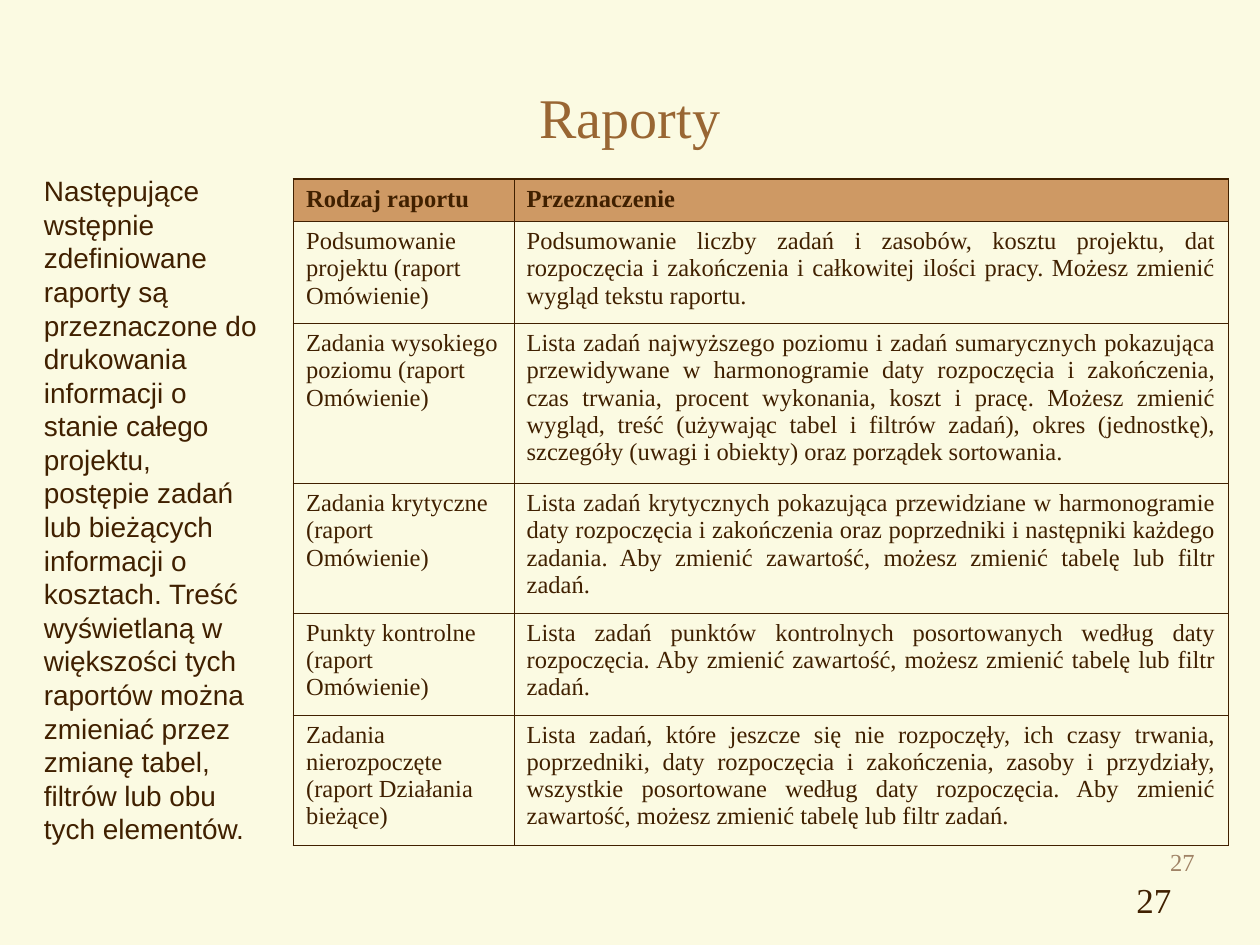
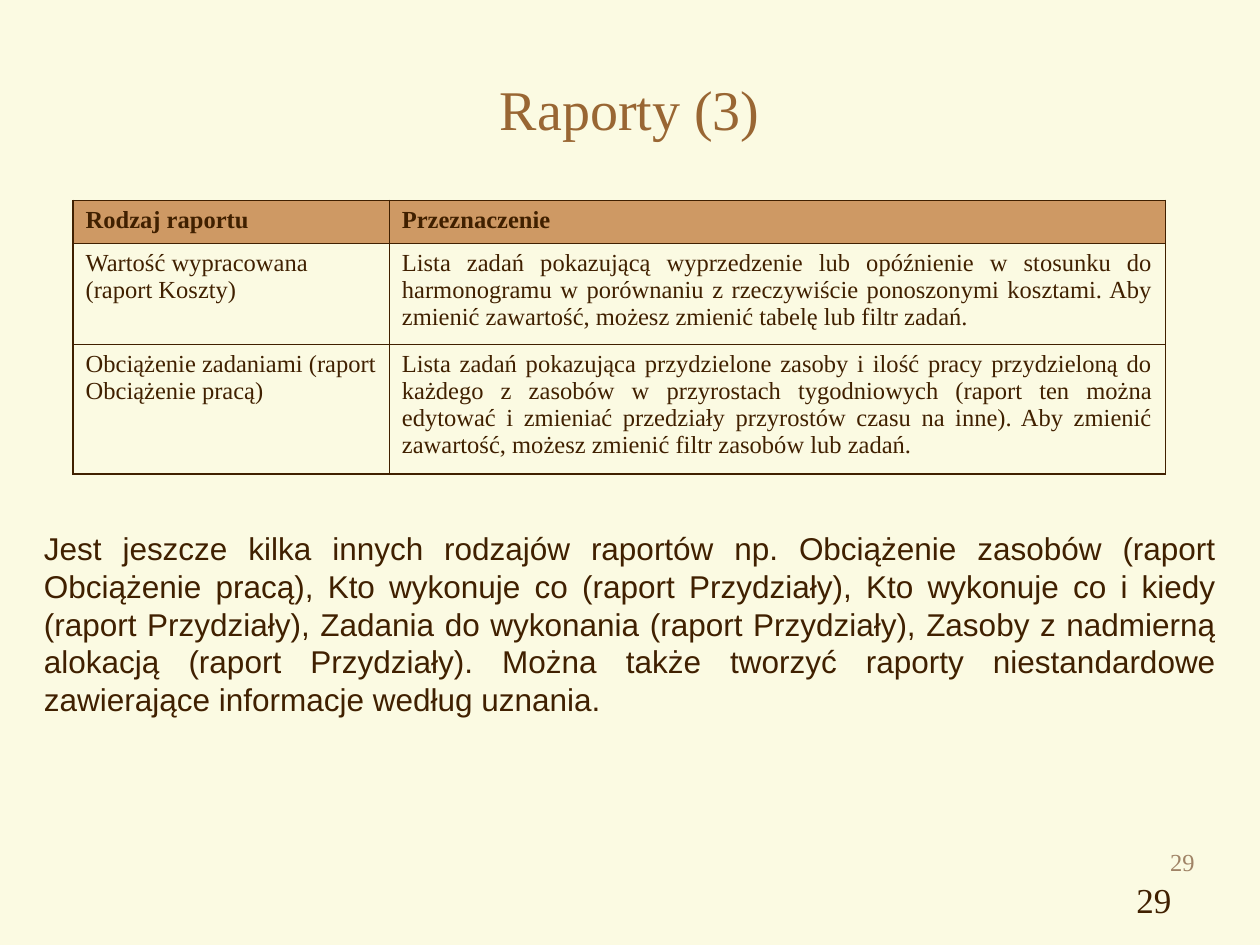
from dataclasses import dataclass
from lxml import etree
from pptx import Presentation
from pptx.dml.color import RGBColor
from pptx.enum.text import MSO_ANCHOR, PP_ALIGN
from pptx.oxml.ns import qn
from pptx.util import Inches, Pt

LEFT, CENTER, RIGHT, JUSTIFY = PP_ALIGN.LEFT, PP_ALIGN.CENTER, PP_ALIGN.RIGHT, PP_ALIGN.JUSTIFY
TOP, MIDDLE = MSO_ANCHOR.TOP, MSO_ANCHOR.MIDDLE
TITLE_ONLY = 5


@dataclass(frozen=True)
class Theme:
    background: str = "FBFAE2"
    text: str = "402000"
    title: str = "996633"
    header: str = "CE9964"
    footer: str = "A08366"
    serif: str = "Times New Roman"
    sans: str = "Arial"
    title_size: float = 32
    number_size: float = 20
    table_size: float = 14
    outer_line: float = 1.08
    inner_line: float = 0.45


THEME = Theme()
TABLE_HEADER = ("Rodzaj raportu", "Przeznaczenie")

SLIDES = [
    {
        "number": "27",
        "title": "Raporty",
        "title_top": 0.3,
        "table_at": (2.33, 1.42),
        "columns": (1.75, 5.67),
        "row_heights": (0.34, 0.81, 1.27, 1.03, 0.81, 1.03),
        "reports": [
            ("Podsumowanie projektu (raport Omówienie)",
             "Podsumowanie liczby zadań i zasobów, kosztu projektu, dat rozpoczęcia i zakończenia "
             "i całkowitej ilości pracy. Możesz zmienić wygląd tekstu raportu."),
            ("Zadania wysokiego poziomu (raport Omówienie)",
             "Lista zadań najwyższego poziomu i zadań sumarycznych pokazująca przewidywane "
             "w harmonogramie daty rozpoczęcia i zakończenia, czas trwania, procent wykonania, "
             "koszt i pracę. Możesz zmienić wygląd, treść (używając tabel i filtrów zadań), okres "
             "(jednostkę), szczegóły (uwagi i obiekty) oraz porządek sortowania."),
            ("Zadania krytyczne (raport Omówienie)",
             "Lista zadań krytycznych pokazująca przewidziane w harmonogramie daty rozpoczęcia "
             "i zakończenia oraz poprzedniki i następniki każdego zadania. Aby zmienić zawartość, "
             "możesz zmienić tabelę lub filtr zadań."),
            ("Punkty kontrolne (raport Omówienie)",
             "Lista zadań punktów kontrolnych posortowanych według daty rozpoczęcia. Aby zmienić "
             "zawartość, możesz zmienić tabelę lub filtr zadań."),
            ("Zadania nierozpoczęte (raport Działania bieżące)",
             "Lista zadań, które jeszcze się nie rozpoczęły, ich czasy trwania, poprzedniki, daty "
             "rozpoczęcia i zakończenia, zasoby i przydziały, wszystkie posortowane według daty "
             "rozpoczęcia. Aby zmienić zawartość, możesz zmienić tabelę lub filtr zadań."),
        ],
        "note": "Następujące wstępnie zdefiniowane raporty są przeznaczone do drukowania informacji "
                "o stanie całego projektu, postępie zadań lub bieżących informacji o kosztach. Treść "
                "wyświetlaną w większości tych raportów można zmieniać przez zmianę tabel, filtrów "
                "lub obu tych elementów.",
        "note_box": (0.25, 1.33, 1.92, 5.43),
        "note_size": 16,
        "note_alignment": LEFT,
    },
    {
        "number": "29",
        "title": "Raporty (3)",
        "title_top": 0.23,
        "table_at": (0.58, 1.59),
        "columns": (2.51, 6.16),
        "row_heights": (0.34, 0.8, 1.03),
        "reports": [
            ("Wartość wypracowana (raport Koszty)",
             "Lista zadań pokazującą wyprzedzenie lub opóźnienie w stosunku do harmonogramu "
             "w porównaniu z rzeczywiście ponoszonymi kosztami. Aby zmienić zawartość, możesz "
             "zmienić tabelę lub filtr zadań."),
            ("Obciążenie zadaniami (raport Obciążenie pracą)",
             "Lista zadań pokazująca przydzielone zasoby i ilość pracy przydzieloną do każdego "
             "z zasobów w przyrostach tygodniowych (raport ten można edytować i zmieniać "
             "przedziały przyrostów czasu na inne). Aby zmienić zawartość, możesz zmienić filtr "
             "zasobów lub zadań."),
        ],
        "note": "Jest jeszcze kilka innych rodzajów raportów np. Obciążenie zasobów (raport Obciążenie "
                "pracą), Kto wykonuje co (raport Przydziały), Kto wykonuje co i kiedy (raport "
                "Przydziały), Zadania do wykonania (raport Przydziały), Zasoby z nadmierną alokacją "
                "(raport Przydziały). Można także tworzyć raporty niestandardowe zawierające "
                "informacje według uznania.",
        "note_box": (0.25, 4.15, 9.5, 1.6),
        "note_size": 18,
        "note_alignment": JUSTIFY,
    },
]


def write(text_frame, text, size, color=THEME.text, font=THEME.serif, alignment=LEFT, bold=False):
    text_frame.text = text
    text_frame.word_wrap = True
    paragraph = text_frame.paragraphs[0]
    paragraph.alignment = alignment
    paragraph.space_before = Pt(0)
    for run in paragraph.runs:
        run.font.size = Pt(size)
        run.font.name = font
        run.font.bold = bold
        run.font.color.rgb = RGBColor.from_string(color)


def add_text(slide, box, text, size, **style):
    shape = slide.shapes.add_textbox(*map(Inches, box))
    write(shape.text_frame, text, size, **style)


def set_title(slide, text, top):
    title = slide.shapes.title
    title.left, title.top, title.width, title.height = map(Inches, (0.5, top, 9, 1.25))
    write(title.text_frame, text, THEME.title_size, color=THEME.title, alignment=CENTER)
    title.text_frame.vertical_anchor = MIDDLE


def set_borders(cell, outer_sides):
    properties = cell._tc.get_or_add_tcPr()
    for position, side in enumerate(("L", "R", "T", "B")):
        width = THEME.outer_line if side in outer_sides else THEME.inner_line
        line = etree.Element(qn(f"a:ln{side}"), w=str(Pt(width)))
        fill = etree.SubElement(line, qn("a:solidFill"))
        etree.SubElement(fill, qn("a:srgbClr"), val=THEME.text)
        properties.insert(position, line)


def add_report_table(slide, position, columns, row_heights, reports):
    rows = [TABLE_HEADER, *reports]
    size = (sum(columns), sum(row_heights))
    frame = slide.shapes.add_table(len(rows), len(columns), *map(Inches, position + size))
    table = frame.table
    for column, width in zip(table.columns, columns):
        column.width = Inches(width)
    for row, height in zip(table.rows, row_heights):
        row.height = Inches(height)
    for row_index, texts in enumerate(rows):
        is_header = row_index == 0
        for column_index, text in enumerate(texts):
            cell = table.cell(row_index, column_index)
            write(cell.text_frame, text, THEME.table_size, bold=is_header,
                  alignment=JUSTIFY if column_index else LEFT)
            cell.vertical_anchor = TOP
            cell.margin_left = cell.margin_right = Inches(0.1)
            cell.margin_top = cell.margin_bottom = Inches(0.05)
            if is_header:
                cell.fill.solid()
                cell.fill.fore_color.rgb = RGBColor.from_string(THEME.header)
            else:
                cell.fill.background()
            outer_sides = {"R" if column_index else "L"}
            if is_header:
                outer_sides.add("T")
            if row_index == len(rows) - 1:
                outer_sides.add("B")
            set_borders(cell, outer_sides)


def add_page_numbers(slide, number):
    add_text(slide, (8.92, 6.92, 0.67, 0.44), number, THEME.number_size)
    add_text(slide, (7.5, 6.67, 2.08, 0.5), number, THEME.table_size,
             color=THEME.footer, alignment=RIGHT)


def build_slide(presentation, content):
    slide = presentation.slides.add_slide(presentation.slide_layouts[TITLE_ONLY])
    slide.background.fill.solid()
    slide.background.fill.fore_color.rgb = RGBColor.from_string(THEME.background)
    set_title(slide, content["title"], content["title_top"])
    add_report_table(slide, content["table_at"], content["columns"],
                     content["row_heights"], content["reports"])
    add_text(slide, content["note_box"], content["note"], content["note_size"],
             font=THEME.sans, alignment=content["note_alignment"])
    add_page_numbers(slide, content["number"])


def main():
    presentation = Presentation()
    presentation.slide_width, presentation.slide_height = Inches(10), Inches(7.5)
    for content in SLIDES:
        build_slide(presentation, content)
    presentation.save("out.pptx")


if __name__ == "__main__":
    main()
